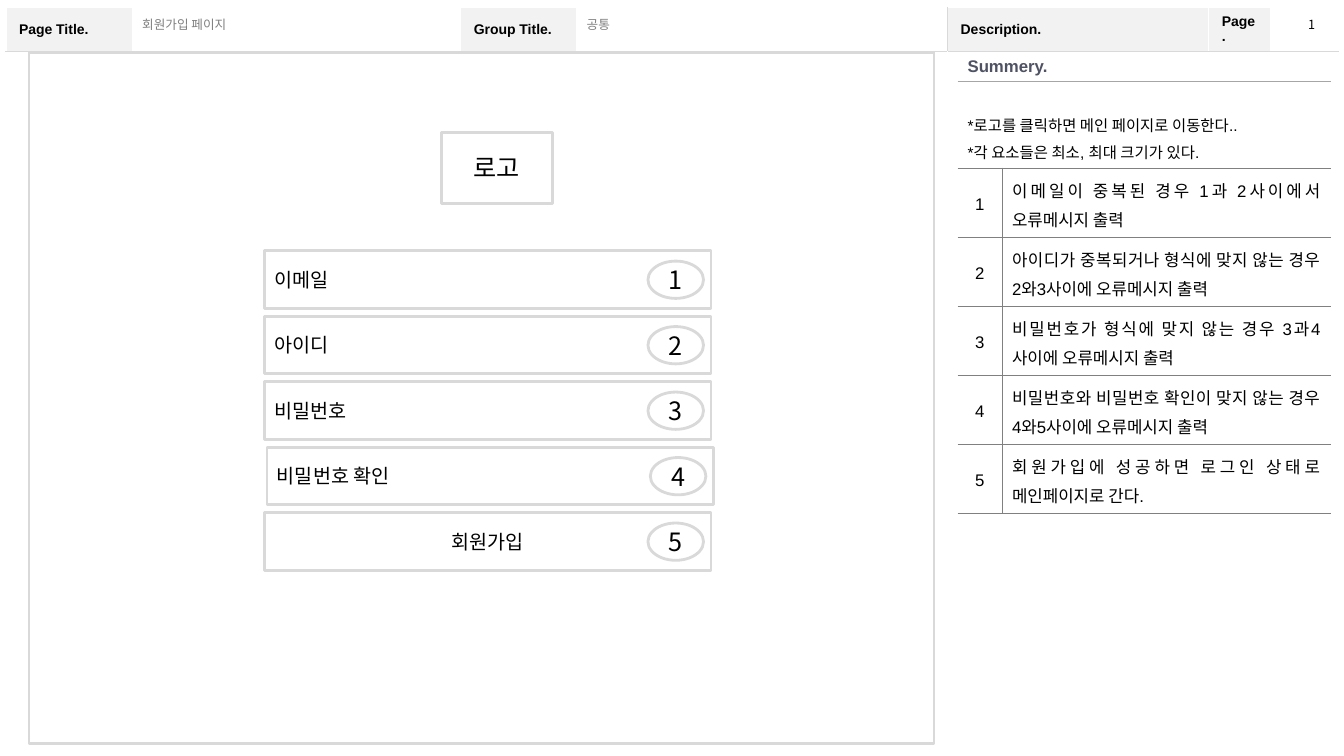
import pptx
import pptx.util
import pptx.dml.color
import pptx.enum.shapes
import pptx.enum.text
import pptx.oxml
import pptx.oxml.ns

Cm = pptx.util.Cm
Pt = pptx.util.Pt
hue = pptx.dml.color.RGBColor.from_string
kind = pptx.enum.shapes.MSO_SHAPE
side = pptx.enum.text.PP_ALIGN
mid = pptx.enum.text.MSO_ANCHOR.MIDDLE
low = pptx.enum.text.MSO_ANCHOR.BOTTOM
noto = "Noto Sans CJK KR"
space = pptx.oxml.ns.nsdecls("a")


def write(frame, text, size, tint="000000", face="Arial", bold=False, align=side.LEFT, lead=1.0):
    for i, line in enumerate(text.split("\n")):
        para = frame.add_paragraph() if i else frame.paragraphs[0]
        look = {"alignment": align, "line_spacing": lead, "space_before": Pt(0)}
        for key, value in look.items():
            setattr(para, key, value)
        run = para.add_run()
        run.text = line
        for key, value in {"size": Pt(size), "name": face, "bold": bold}.items():
            setattr(run.font, key, value)
        run.font.color.rgb = hue(tint)
        east = pptx.oxml.parse_xml(f'<a:ea {space} typeface="{noto}"/>')
        run.font._element.append(east)


def border(cell, edges):
    props = cell._tc.get_or_add_tcPr()
    for i, (edge, (tint, width)) in enumerate(zip("LRTB", edges)):
        fill = f'<a:solidFill><a:srgbClr val="{tint}"/></a:solidFill>' if tint else "<a:noFill/>"
        line = pptx.oxml.parse_xml(f'<a:ln{edge} {space} w="{Pt(width)}">{fill}</a:ln{edge}>')
        props.insert(i, line)


deck = pptx.Presentation()
deck.slide_width = Cm(33.87)
deck.slide_height = Cm(19.05)
page = deck.slides.add_slide(deck.slide_layouts[3])
shapes = page.shapes
title = shapes.title._element
title.getparent().remove(title)

notes = [(1, 3.33, 8.23, "회원가입 페이지"), (2, 14.53, 9.25, "공통")]
for idx, left, width, text in notes:
    body = page.placeholders[idx]
    place = {"left": Cm(left), "top": Cm(0.3), "width": Cm(width), "height": Cm(0.61)}
    for key, value in place.items():
        setattr(body, key, value)
    frame = body.text_frame
    frame.auto_size = pptx.enum.text.MSO_AUTO_SIZE.NONE
    frame.vertical_anchor = mid
    props = frame.paragraphs[0]._p.get_or_add_pPr()
    props.set("marL", "0")
    props.set("indent", "0")
    props.append(pptx.oxml.parse_xml(f"<a:buNone {space}/>"))
    write(frame, text, 9, "808080")

grids = []
plans = [
    (0.15, 0.18, [3.2, 8.26, 2.92, 9.35, 6.58, 1.55, 1.73], [1.12, 16.94]),
    (24.13, 1.32, [1.12, 8.28], [0.71, 2.18] + [1.74] * 5),
]
for left, top, cols, rows in plans:
    frame = shapes.add_table(
        len(rows), len(cols), Cm(left), Cm(top), Cm(sum(cols)), Cm(sum(rows))
    )
    grid = frame.table
    grid.first_row = grid.horz_banding = False
    grid._tbl.tblPr[0].text = "{2D5ABB26-0587-4C30-8999-92F81FD0307C}"
    for col, width in zip(grid.columns, cols):
        col.width = Cm(width)
    for row, height in zip(grid.rows, rows):
        row.height = Cm(height)
    for cell in grid.iter_cells():
        cell.fill.background()
        cell.vertical_anchor = mid
    grids.append(grid)
head, info = grids

white = ("FFFFFF", 1)
pale = ("D9D9D9", 0.25)
grey = ("808080", 0.25)
soft = ("A6A6A6", 0.25)
none = ("", 0.25)

for c in range(7):
    edges = (pale if c == 4 else white, pale if c == 3 else white)
    border(head.cell(0, c), edges + (white, pale))
    border(head.cell(1, c), edges + (pale, white))
head.cell(1, 0).merge(head.cell(1, 3))
head.cell(1, 4).merge(head.cell(1, 6))
labels = {0: "Page Title.", 2: "Group Title.", 4: "Description.", 5: "Page."}
pads = {"margin_left": 0.33, "margin_right": 0.33, "margin_top": 0.16, "margin_bottom": 0.16}
for c, text in labels.items():
    cell = head.cell(0, c)
    cell.fill.solid()
    cell.fill.fore_color.rgb = hue("F2F2F2")
    for key, value in pads.items():
        setattr(cell, key, Cm(value))
    write(cell.text_frame, text, 10, bold=True)

for c in range(2):
    border(info.cell(0, c), (none, none, none, soft))
    border(info.cell(1, c), (none, none, soft, grey))
for r in range(2):
    info.cell(r, 0).merge(info.cell(r, 1))
cell = info.cell(0, 0)
cell.fill.solid()
cell.fill.fore_color.rgb = hue("FFFFFF")
write(cell.text_frame, "Summery.", 12, "4E5263", bold=True)
cell = info.cell(1, 0)
cell.vertical_anchor = low
text = "*로고를 클릭하면 메인 페이지로 이동한다..\n*각 요소들은 최소, 최대 크기가 있다."
write(cell.text_frame, text, 11, align=side.JUSTIFY, lead=1.2)
rules = [
    "이메일이 중복된 경우 1과 2사이에서 오류메시지 출력",
    "아이디가 중복되거나 형식에 맞지 않는 경우 2와3사이에 오류메시지 출력",
    "비밀번호가 형식에 맞지 않는 경우 3과4사이에 오류메시지 출력",
    "비밀번호와 비밀번호 확인이 맞지 않는 경우 4와5사이에 오류메시지 출력",
    "회원가입에 성공하면 로그인 상태로 메인페이지로 간다.",
]
for i, text in enumerate(rules):
    num, rule = info.cell(i + 2, 0), info.cell(i + 2, 1)
    border(num, (none, grey, grey, grey))
    border(rule, (grey, none, grey, grey))
    write(num.text_frame, str(i + 1), 12, align=side.CENTER, lead=1.2)
    write(rule.text_frame, text, 12, align=side.JUSTIFY, lead=1.2)

count = shapes.add_textbox(Cm(32.72), Cm(0.3), Cm(0.69), Cm(0.64))
count.text_frame.word_wrap = False
write(count.text_frame, "1", 9, face=noto)

parts = [
    (kind.RECTANGLE, 0.73, 1.32, 22.81, 17.42, "", 14, side.LEFT),
    (kind.RECTANGLE, 11.13, 3.33, 2.79, 1.8, "로고", 18, side.CENTER),
]
fields = ["이메일", "아이디", "비밀번호", "비밀번호 확인", "회원가입"]
for i, text in enumerate(fields):
    shift = 0.06 if i == 3 else 0
    top = 6.32 + 1.65 * i
    align = side.CENTER if i == 4 else side.LEFT
    parts.append((kind.RECTANGLE, 6.67 + shift, top, 11.25, 1.45, text, 14, align))
    parts.append((kind.OVAL, 16.33 + shift, top + 0.26, 1.4, 0.94, str(i + 1), 18, side.CENTER))
for form, left, top, width, height, text, size, align in parts:
    box = shapes.add_shape(form, Cm(left), Cm(top), Cm(width), Cm(height))
    box.shadow.inherit = False
    box.fill.solid()
    box.fill.fore_color.rgb = hue("FFFFFF")
    box.line.color.rgb = hue("D9D9D9")
    box.line.width = Pt(2)
    box.text_frame.vertical_anchor = mid
    if text:
        write(box.text_frame, text, size, face=noto, align=align)

deck.save("out.pptx")
